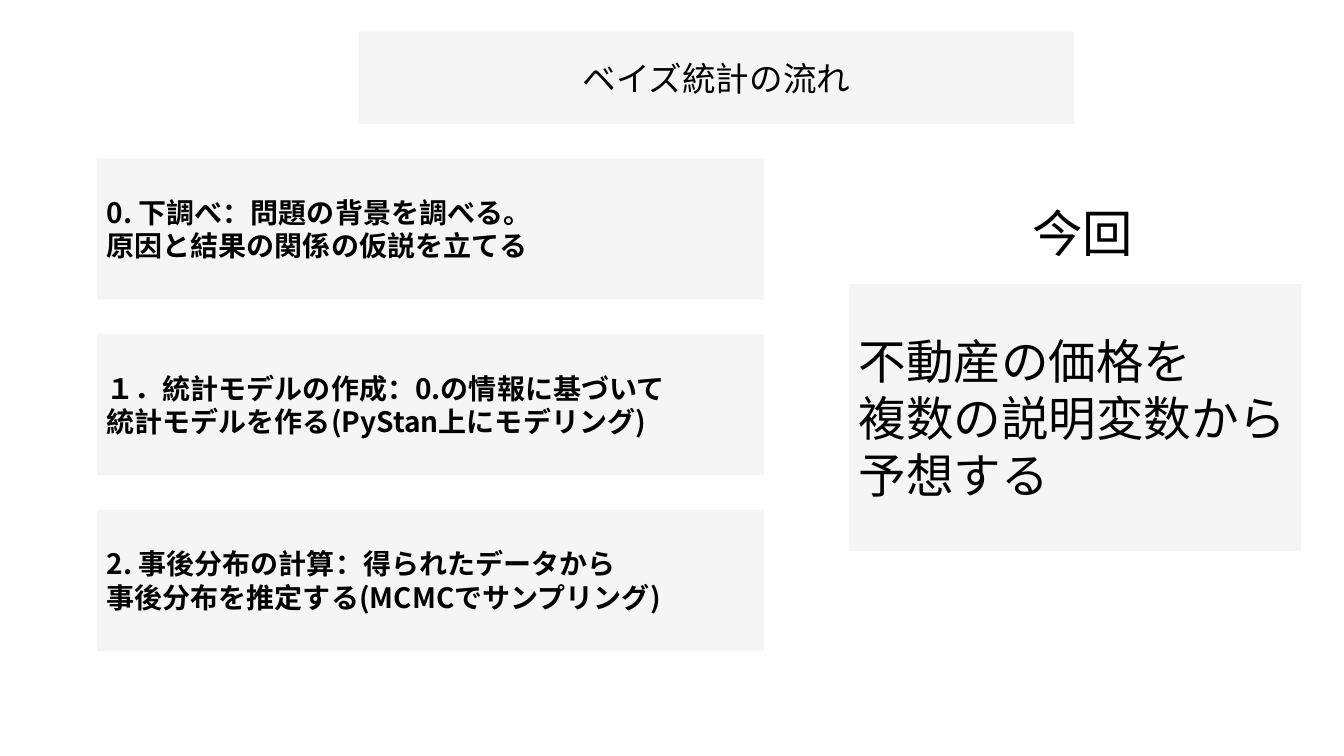
"""Build a slide on the flow of Bayesian statistics."""
from lxml import etree
from pptx import Presentation
from pptx.dml.color import RGBColor
from pptx.enum.shapes import MSO_SHAPE
from pptx.enum.text import MSO_ANCHOR, MSO_AUTO_SIZE, PP_ALIGN
from pptx.oxml.ns import qn
from pptx.util import Cm, Pt

RECTANGLE = MSO_SHAPE.RECTANGLE
MIDDLE = MSO_ANCHOR.MIDDLE
FIT_SHAPE = MSO_AUTO_SIZE.SHAPE_TO_FIT_TEXT
LEFT, CENTER = PP_ALIGN.LEFT, PP_ALIGN.CENTER
PALE_GRAY = RGBColor(0xED, 0xED, 0xED)
BLACK = RGBColor(0, 0, 0)
FONT = "Noto Sans CJK JP"
STEPS = [
    ["0. 下調べ：問題の背景を調べる。", "原因と結果の関係の仮説を立てる"],
    ["１．統計モデルの作成：0.の情報に基づいて", "統計モデルを作る(PyStan上にモデリング)"],
    ["2. 事後分布の計算：得られたデータから", "事後分布を推定する(MCMCでサンプリング)"],
]


def write_lines(text_frame, lines, size, bold=False, align=LEFT):
    """Write each line as a paragraph of one run."""
    for index, line in enumerate(lines):
        paragraph = text_frame.add_paragraph() if index else text_frame.paragraphs[0]
        paragraph.alignment = align
        run = paragraph.add_run()
        run.text = line
        run.font.size = Pt(size)
        run.font.bold = bold
        run.font.color.rgb = BLACK
        run.font.name = FONT
        east_asian = etree.Element(qn("a:ea"), typeface=FONT)
        run.font._element.find(qn("a:latin")).addnext(east_asian)


def add_panel(slide, box, lines, size, bold=False, align=LEFT):
    """Add a half-transparent gray rectangle with text to the box, in cm."""
    shape = slide.shapes.add_shape(RECTANGLE, *map(Cm, box))
    shape.shadow.inherit = False
    shape.line.fill.background()
    shape.fill.solid()
    shape.fill.fore_color.rgb = PALE_GRAY
    color = shape._element.spPr.find(qn("a:solidFill"))[0]
    etree.SubElement(color, qn("a:alpha"), val="50000")
    shape.text_frame.word_wrap = True
    shape.text_frame.vertical_anchor = MIDDLE
    write_lines(shape.text_frame, lines, size, bold, align)


def add_steps(slide, box):
    """Stack the steps evenly down the box."""
    left, top, width, height = box
    step_height = 3.56
    pitch = (height - step_height) / (len(STEPS) - 1)
    for index, lines in enumerate(STEPS):
        step_box = (left, top + index * pitch, width, step_height)
        add_panel(slide, step_box, lines, 20, bold=True)


def add_topic(slide, box):
    """Place the heading above the panel that states this time's topic."""
    left, top, width, height = box
    panel_offset = 2.18
    label = slide.shapes.add_textbox(Cm(left + 4.37), Cm(top), Cm(3.07), Cm(1.8))
    label.text_frame.word_wrap = False
    label.text_frame.auto_size = FIT_SHAPE
    write_lines(label.text_frame, ["今回"], 36)
    panel_box = (left, top + panel_offset, width, height - panel_offset)
    add_panel(slide, panel_box, ["不動産の価格を", "複数の説明変数から予想する"], 34)


def main():
    """Assemble and save the presentation."""
    presentation = Presentation()
    presentation.slide_width, presentation.slide_height = Cm(33.87), Cm(19.05)
    slide = presentation.slides.add_slide(presentation.slide_layouts[6])
    add_panel(slide, (9.04, 0.79, 18.03, 2.34), ["ベイズ統計の流れ"], 24, align=CENTER)
    add_steps(slide, (2.44, 3.99, 16.81, 12.42))
    add_topic(slide, (21.39, 4.98, 11.4, 8.91))
    presentation.save("out.pptx")


main()
